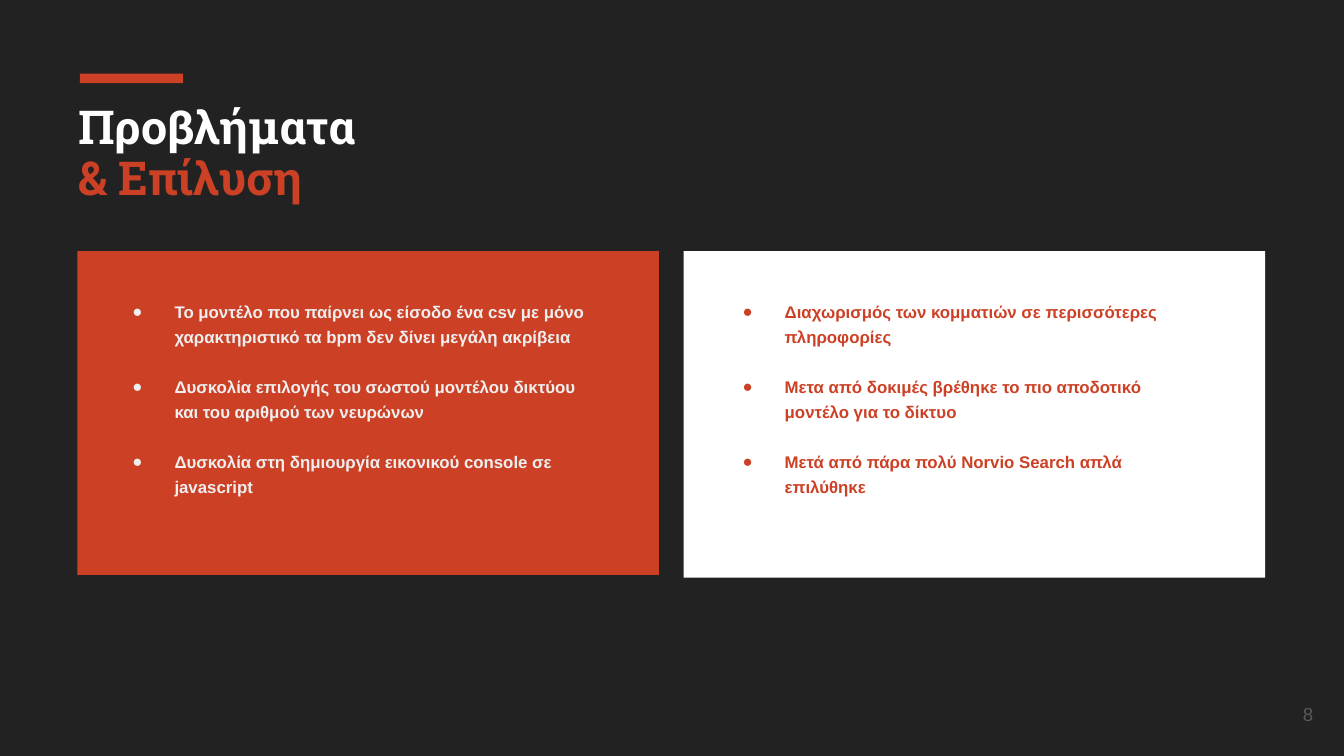
from lxml.etree import SubElement
from pptx import Presentation
from pptx.dml.color import RGBColor
from pptx.enum.shapes import MSO_SHAPE
from pptx.enum.text import MSO_ANCHOR, MSO_AUTO_SIZE, PP_ALIGN
from pptx.oxml.ns import qn
from pptx.util import Pt

DARK, RED, WHITE, PALE, GREY = "222222", "CC4125", "FFFFFF", "EFEFEF", "595959"
INSET = 7.2

PROBLEMS = [
    "Το μοντέλο που παίρνει ως είσοδο ένα csv με μόνο χαρακτηριστικό τα bpm δεν δίνει μεγάλη ακρίβεια",
    "Δυσκολία επιλογής του σωστού μοντέλου δικτύου και του αριθμού των νευρώνων",
    "Δυσκολία στη δημιουργία εικονικού console σε javascript",
]
SOLUTIONS = [
    "Διαχωρισμός των κομματιών σε περισσότερες πληροφορίες",
    "Μετα από δοκιμές βρέθηκε το πιο αποδοτικό μοντέλο για το δίκτυο",
    "Μετά από πάρα πολύ Norvio Search απλά επιλύθηκε",
]


def color(value):
    return RGBColor.from_string(value)


def add_run(paragraph, text, size, font, fill, bold=False):
    run = paragraph.add_run()
    run.text = text
    run.font.size = Pt(size)
    run.font.name = font
    run.font.bold = bold
    run.font.color.rgb = color(fill)


def place(shape, box):
    shape.left, shape.top, shape.width, shape.height = map(Pt, box)


def set_frame(frame, anchor=MSO_ANCHOR.TOP, top=INSET):
    frame.word_wrap = True
    frame.auto_size = MSO_AUTO_SIZE.NONE
    frame.vertical_anchor = anchor
    frame.margin_left = frame.margin_right = frame.margin_bottom = Pt(INSET)
    frame.margin_top = Pt(top)


def add_rectangle(slide, box, fill):
    shape = slide.shapes.add_shape(MSO_SHAPE.RECTANGLE, *map(Pt, box))
    shape.shadow.inherit = False
    shape.fill.solid()
    shape.fill.fore_color.rgb = color(fill)
    shape.line.fill.background()


def add_bullet(paragraph, fill):
    properties = paragraph._p.get_or_add_pPr()
    properties.set("marL", str(Pt(36)))
    properties.set("indent", str(-Pt(22.5)))
    bullet_color = SubElement(properties, qn("a:buClr"))
    SubElement(bullet_color, qn("a:srgbClr"), val=fill)
    SubElement(properties, qn("a:buFont"), typeface="Arial")
    SubElement(properties, qn("a:buChar"), char="●")


def set_title(slide, box):
    """Place the two-line title with the accent bar above it."""
    left, top = box[:2]
    add_rectangle(slide, (left + 8.2, top - 6, 55.3, 5.2), RED)
    title = slide.shapes.title
    place(title, box)
    frame = title.text_frame
    set_frame(frame, top=10)
    lines = [("Προβλήματα", WHITE), ("& Επίλυση", RED)]
    for index, (text, fill) in enumerate(lines):
        paragraph = frame.add_paragraph() if index else frame.paragraphs[0]
        paragraph.alignment = PP_ALIGN.LEFT
        paragraph.line_spacing = 0.91
        paragraph.space_before = Pt(0)
        add_run(paragraph, text, 25, "Roboto Slab", fill, bold=True)


def add_card(slide, box, fill, text_fill, items, indent):
    """Draw a filled panel with a bulleted list inside it."""
    left, top, width, height = box
    add_rectangle(slide, box, fill)
    text_box = (left + indent, top + 17.3, 275, height - 37)
    frame = slide.shapes.add_textbox(*map(Pt, text_box)).text_frame
    set_frame(frame)
    for index, text in enumerate(items):
        paragraph = frame.add_paragraph() if index else frame.paragraphs[0]
        paragraph.line_spacing = 1.25
        paragraph.space_before = Pt(13 if index else 0)
        add_bullet(paragraph, text_fill)
        add_run(paragraph, text, 9, "Arial", text_fill, bold=True)


def add_page_number(slide, box, number):
    frame = slide.shapes.add_textbox(*map(Pt, box)).text_frame
    set_frame(frame, MSO_ANCHOR.MIDDLE)
    paragraph = frame.paragraphs[0]
    paragraph.alignment = PP_ALIGN.RIGHT
    add_run(paragraph, str(number), 10, "Arial", GREY)


def main():
    presentation = Presentation()
    presentation.slide_width, presentation.slide_height = Pt(720), Pt(405)
    slide = presentation.slides.add_slide(presentation.slide_layouts[5])
    slide.background.fill.solid()
    slide.background.fill.fore_color.rgb = color(DARK)

    set_title(slide, (34.6, 45.4, 324.7, 83.5))
    add_card(slide, (41.5, 134.5, 311.5, 173.5), RED, PALE, PROBLEMS, 8.9)
    add_card(slide, (366.2, 134.5, 311.5, 175), WHITE, RED, SOLUTIONS, 11.1)
    add_page_number(slide, (667.4, 367.2, 43.2, 31), 8)
    presentation.save("out.pptx")


if __name__ == "__main__":
    main()
